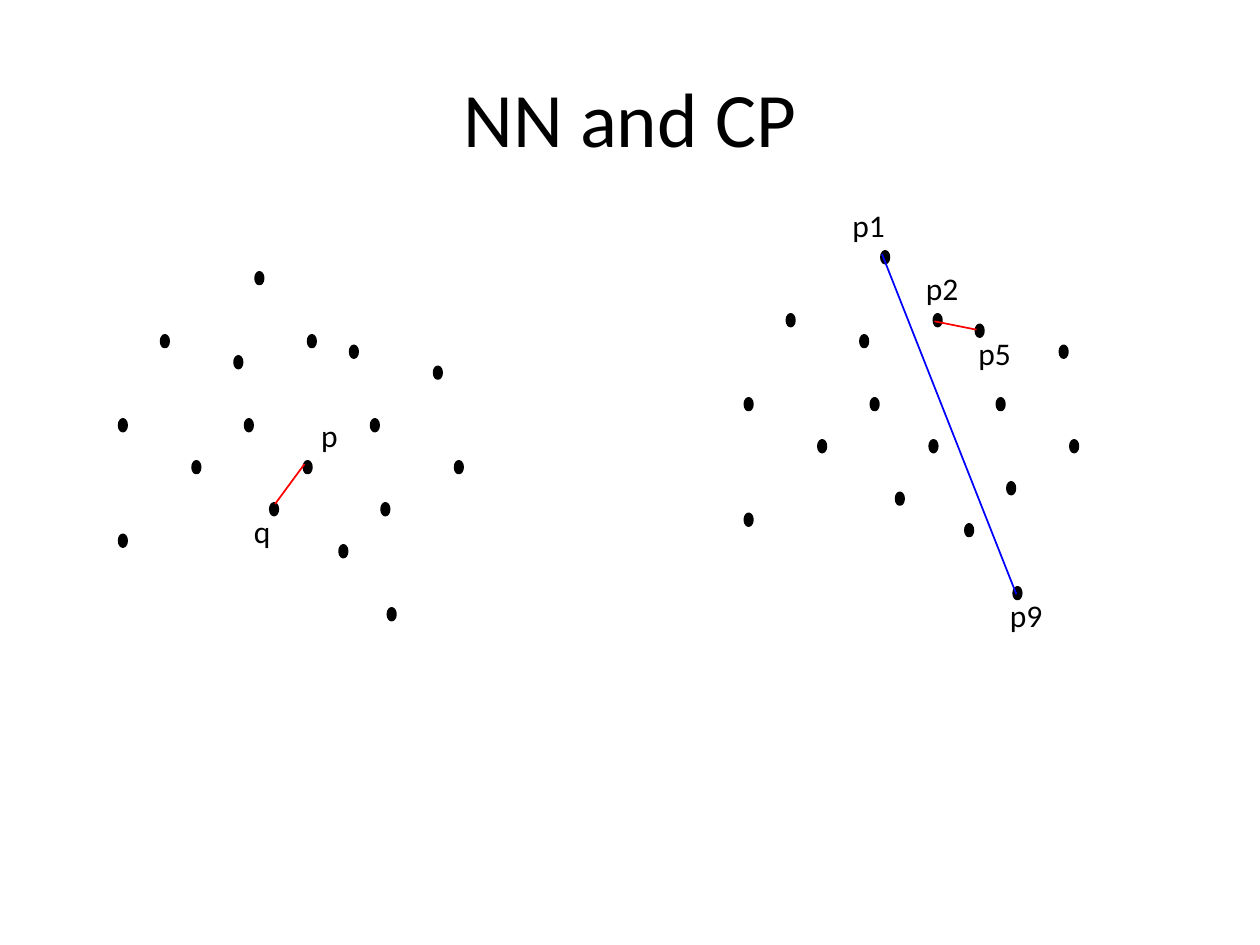
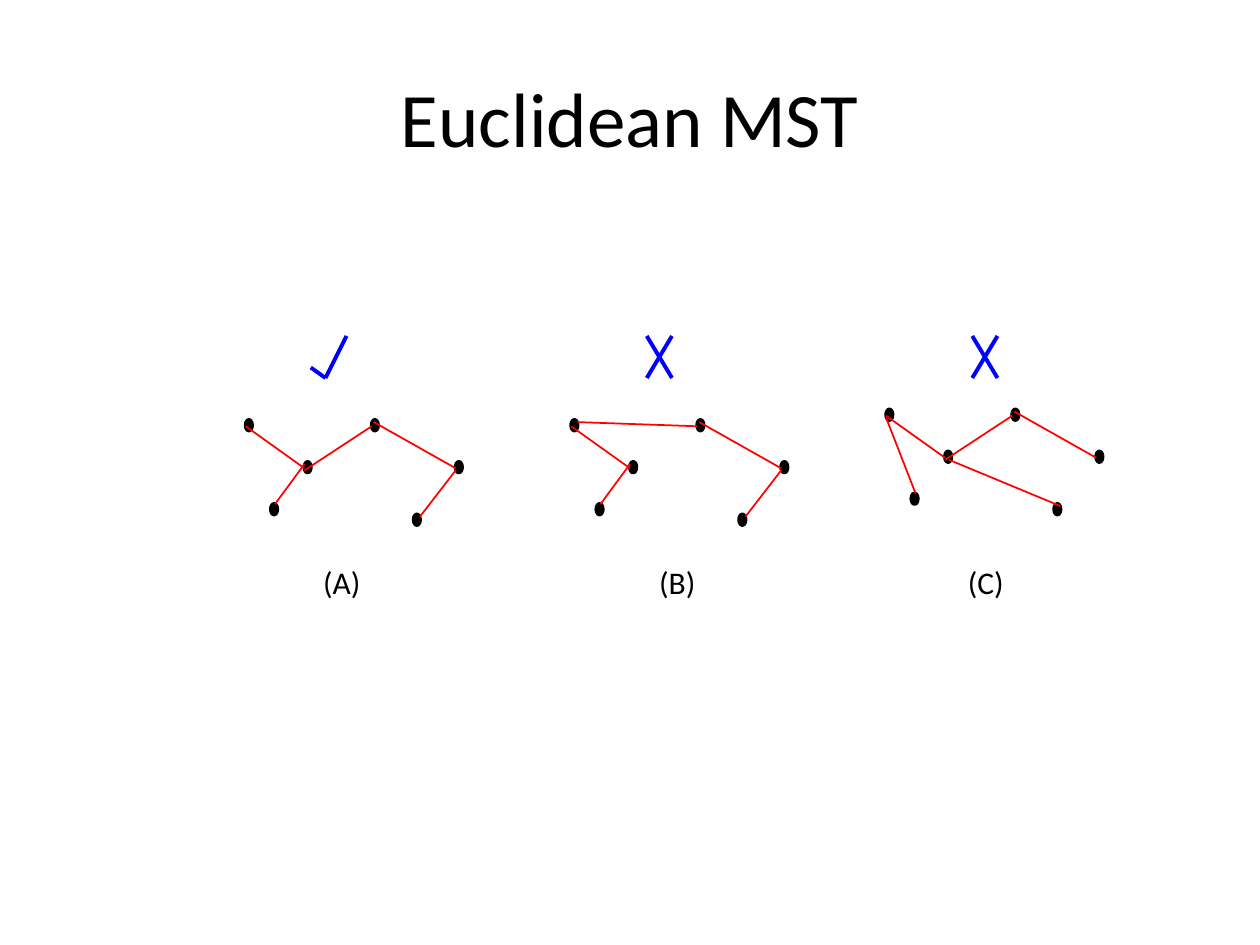
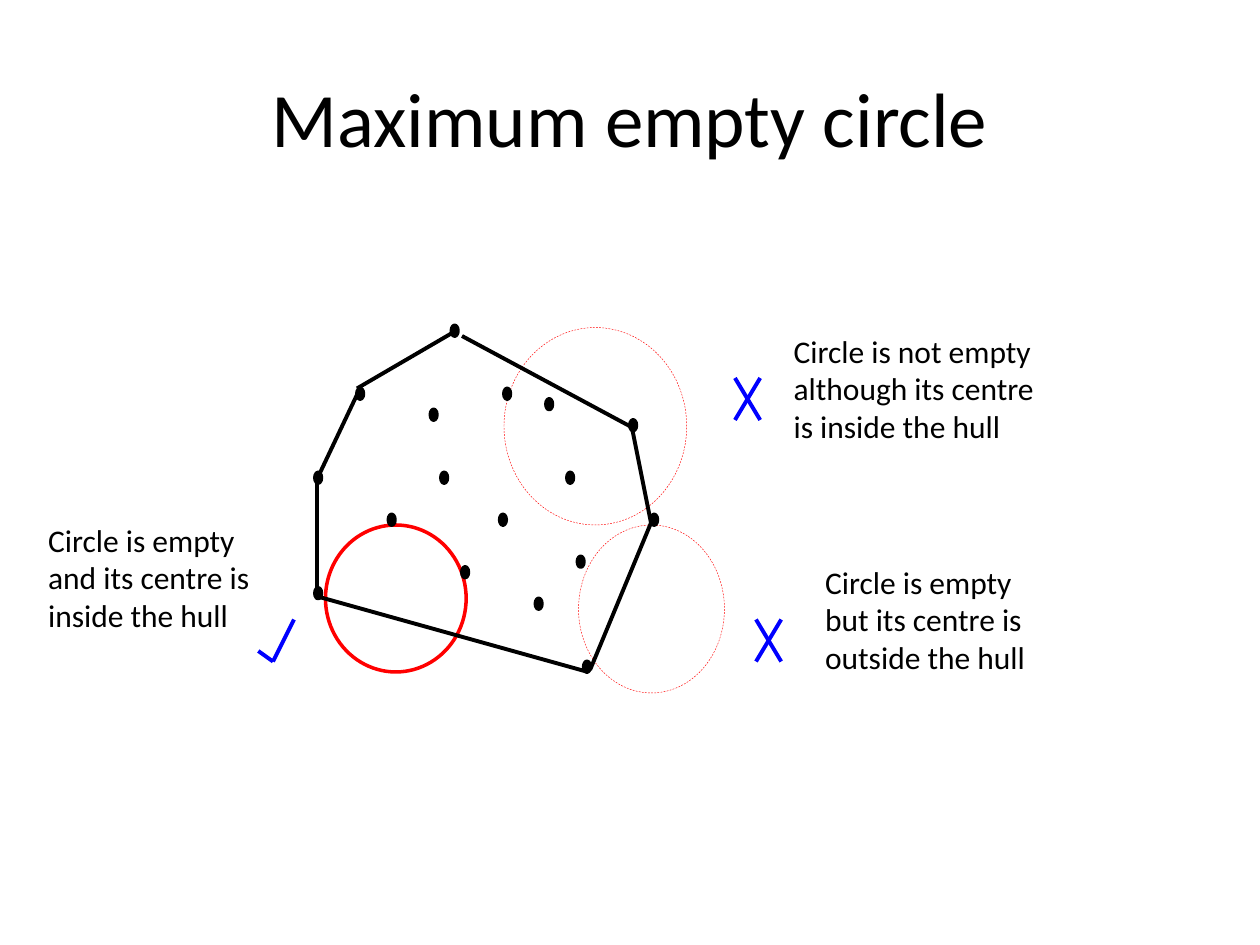
"""Build three slides on proximity problems: nearest and closest pairs, Euclidean MST, maximum empty circle."""
from lxml import etree
from pptx import Presentation
from pptx.dml.color import RGBColor
from pptx.enum import dml, shapes, text
from pptx.oxml import ns
from pptx import util as u

COLORS = {"ink": "000000", "near": "FF0000", "mark": "0000FF"}
COLUMNS, ROWS = 600, 450
DOT_SIZE = (3, 5)
TITLE_AREA = (30, 18, 540, 75)
TITLE_FORMAT = {"size": u.Pt(44), "name": "Calibri"}
BODY_FORMAT = {"size": u.Pt(18), "name": "Calibri"}
THIN, THICK = 1, 2.25

cloud = [(77, 160), (92, 220), (57, 255), (122, 130), (147, 160), (177, 200), (145, 220), (207, 175),
         (182, 240), (185, 290), (112, 170), (57, 200), (167, 165), (117, 200), (162, 260)]
tree_sites = [(129, 240), (177, 200), (145, 220), (217, 220), (117, 200), (197, 245)]
shared_edges = [(117, 203, 145, 223), (217, 223, 178, 201)]
lower_left, lower_right = (145, 221, 131, 240), (217, 224, 200, 246)
middle = (177, 203, 145, 224)
tick = [(0, 15, 7, 20), (7, 20, 17, 0)]
cross = [(0, 0, 12, 20), (0, 20, 12, 0)]
hull = [(151, 284, 280, 320), (151, 281, 151, 230), (152, 226, 170, 188), (170, 185, 218, 157),
        (220, 160, 300, 203), (301, 204, 310, 249), (310, 249, 281, 319)]

pages = [
    {
        "title": "NN and CP",
        "rings": [],
        "dots": [(0, 0, cloud + [(129, 240), (217, 220)]),
                 (298, -10, cloud),
                 (0, 0, [(427, 235), (510, 210)])],
        "lines": [(0, 0, [(145, 221, 131, 240), (465, 157, 445, 153)], "near", THIN),
                  (0, 0, [(484, 283, 420, 121)], "mark", THIN)],
        "labels": [("p", 147, 195, 30, 24), ("q", 115, 241, 30, 24), ("p1", 400, 95, 30, 24),
                   ("p2", 435, 125, 30, 24), ("p5", 460, 156, 30, 24), ("p9", 475, 281, 30, 24)],
    },
    {
        "title": "Euclidean MST",
        "rings": [],
        "dots": [(0, 0, tree_sites), (155, 0, tree_sites), (305, -5, tree_sites)],
        "lines": [(0, 0, shared_edges + [lower_left, middle, lower_right], "near", THIN),
                  (155, 0, shared_edges + [lower_left, (177, 203, 120, 201), lower_right], "near", THIN),
                  (305, -5, shared_edges + [(117, 204, 131, 240), middle, (147, 224, 200, 246)], "near", THIN),
                  (148, 160, tick, "mark", THICK),
                  (308, 160, cross, "mark", THICK),
                  (463, 160, cross, "mark", THICK)],
        "labels": [("(A)", 148, 265, 32, 24), ("(B)", 308, 265, 32, 24), ("(C)", 455, 265, 32, 24)],
    },
    {
        "title": "Maximum empty circle",
        "rings": [(155, 250, 67, 70, 2, None),
                  (275.5, 250, 69.5, 80, 0.25, dml.MSO_LINE.DASH),
                  (240, 156, 87, 94, 0.25, dml.MSO_LINE.DASH)],
        "dots": [(93, 25, cloud), (0, 0, [(220, 270), (310, 245)])],
        "lines": [(0, 0, hull, "ink", THICK),
                  (123, 295, tick, "mark", THICK),
                  (360, 295, cross, "mark", THICK),
                  (350, 180, cross, "mark", THICK)],
        "labels": [("Circle is empty and its centre is inside the hull", 17, 245, 118, 61),
                   ("Circle is empty but its centre is outside the hull", 387, 265, 118, 61),
                   ("Circle is not empty although its centre is inside the hull", 372, 155, 135, 61)],
    },
]

presentation = Presentation()
presentation.slide_width, presentation.slide_height = u.Inches(10), u.Inches(7.5)
column = presentation.slide_width / COLUMNS
row = presentation.slide_height / ROWS


def place(*lengths):
    """Turn alternating column and row counts into slide lengths."""
    return [u.Emu(round(length * (row if index % 2 else column))) for index, length in enumerate(lengths)]


def set_line(line, color, width, dash=None):
    """Give a line its colour, width in points and dash."""
    line.color.rgb = RGBColor.from_string(COLORS[color])
    line.width = u.Pt(width)
    if dash:
        line.dash_style = dash


for page in pages:
    slide = presentation.slides.add_slide(presentation.slide_layouts[6])

    for left, top, width, height, weight, dash in page["rings"]:
        ring = slide.shapes.add_shape(shapes.MSO_SHAPE.OVAL, *place(left, top, width, height))
        ring.shadow.inherit = False
        ring.fill.background()
        set_line(ring.line, "near", weight, dash)

    for shift_x, shift_y, sites in page["dots"]:
        for x, y in sites:
            dot = slide.shapes.add_shape(shapes.MSO_SHAPE.OVAL, *place(x + shift_x, y + shift_y, *DOT_SIZE))
            dot.shadow.inherit = False
            dot.fill.solid()
            dot.fill.fore_color.rgb = RGBColor.from_string(COLORS["ink"])
            set_line(dot.line, "ink", THICK)

    for shift_x, shift_y, segments, color, weight in page["lines"]:
        for x1, y1, x2, y2 in segments:
            ends = place(x1 + shift_x, y1 + shift_y, x2 + shift_x, y2 + shift_y)
            connector = slide.shapes.add_connector(shapes.MSO_CONNECTOR.STRAIGHT, *ends)
            set_line(connector.line, color, weight)
            etree.SubElement(connector._element.spPr, ns.qn("a:effectLst"))

    heading = (page["title"], *TITLE_AREA)
    for words, *area in [heading] + page["labels"]:
        is_title = words == page["title"]
        frame = slide.shapes.add_textbox(*place(*area)).text_frame
        frame.word_wrap = True
        frame.vertical_anchor = text.MSO_ANCHOR.MIDDLE if is_title else text.MSO_ANCHOR.TOP
        paragraph = frame.paragraphs[0]
        paragraph.alignment = text.PP_ALIGN.CENTER if is_title else text.PP_ALIGN.LEFT
        run = paragraph.add_run()
        run.text = words
        run.font.color.rgb = RGBColor.from_string(COLORS["ink"])
        for attribute, value in (TITLE_FORMAT if is_title else BODY_FORMAT).items():
            setattr(run.font, attribute, value)

presentation.save("out.pptx")
